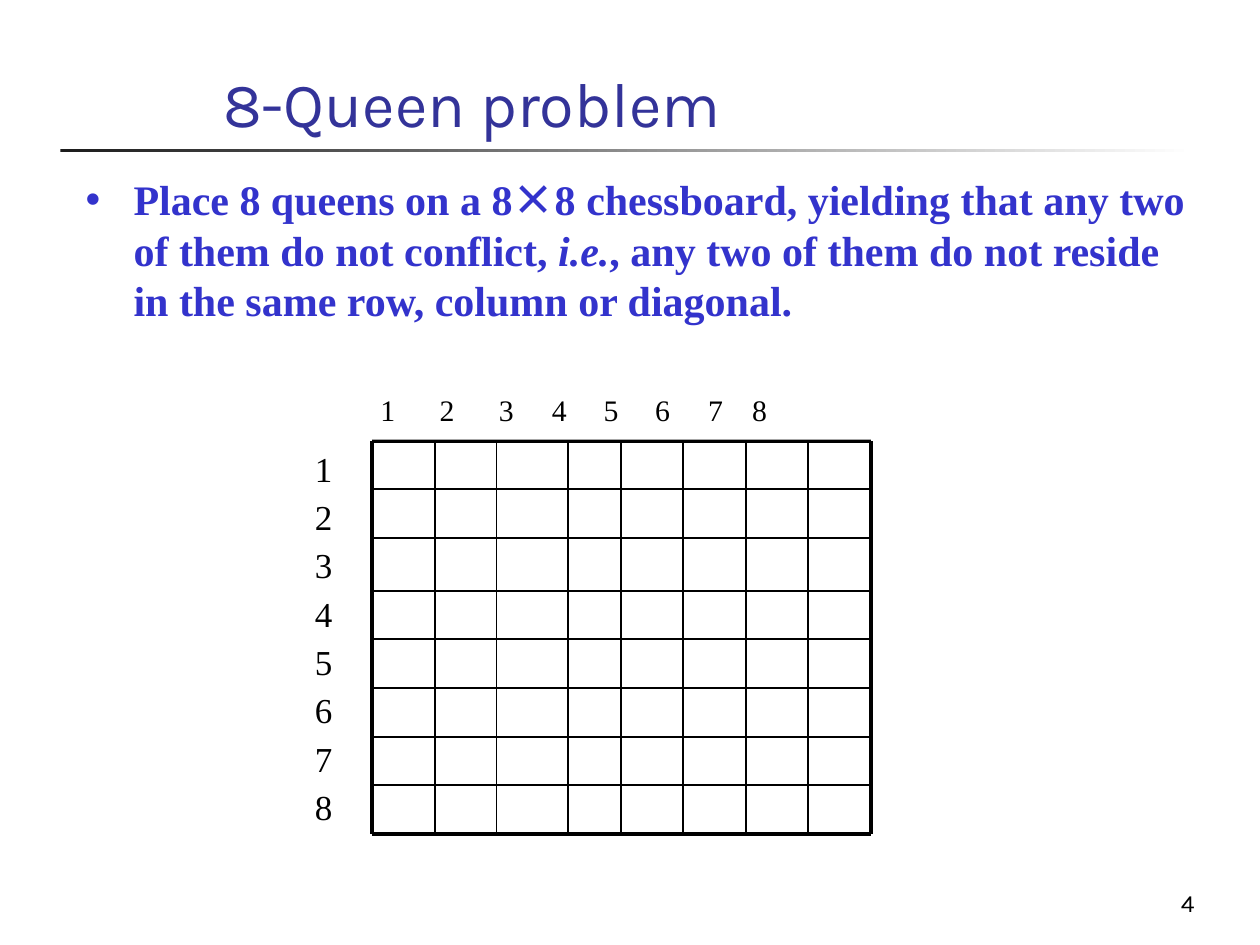
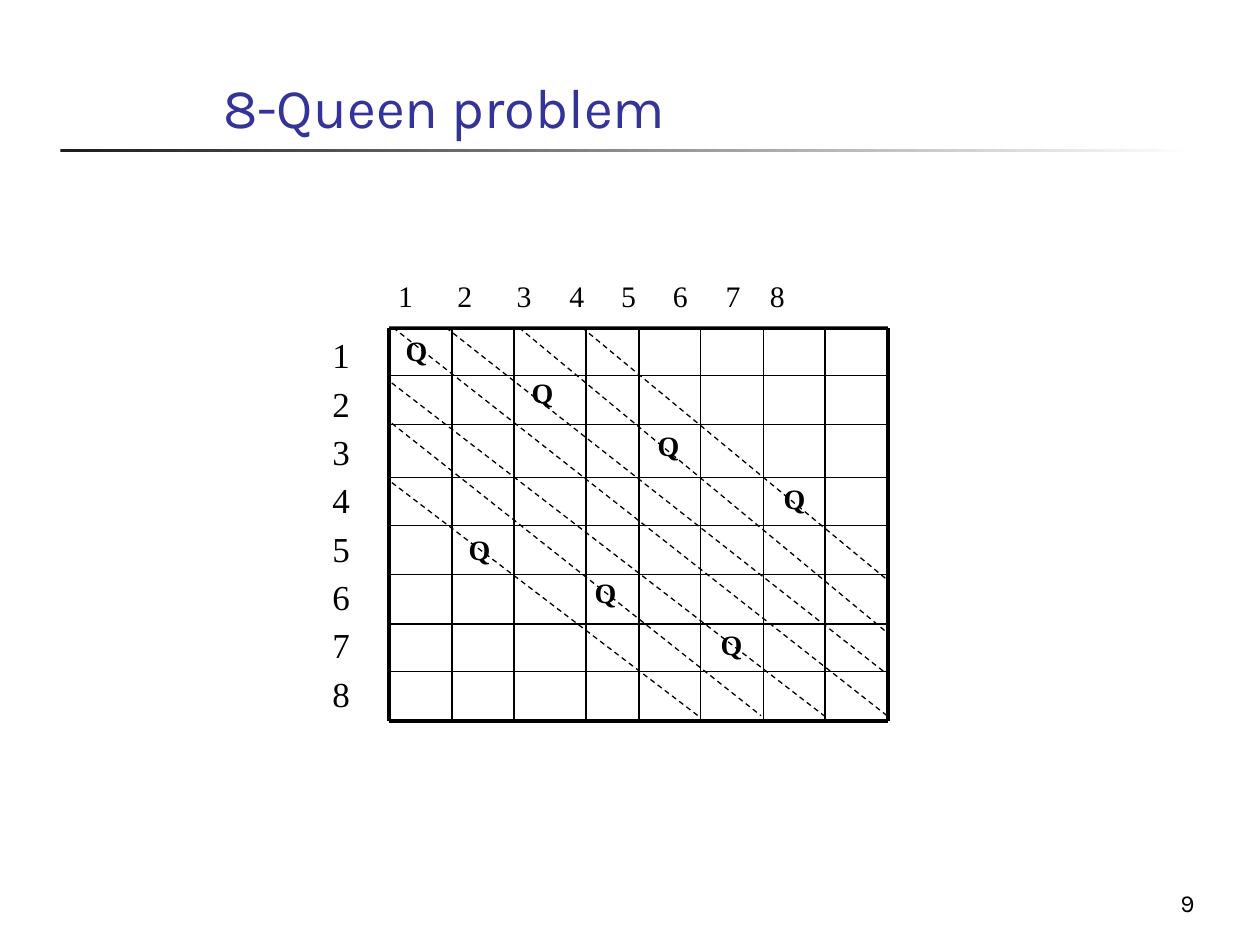
from dataclasses import dataclass

from lxml import etree
from pptx import Presentation
from pptx.dml.color import RGBColor
from pptx.enum.dml import MSO_LINE
from pptx.enum.shapes import MSO_CONNECTOR, MSO_SHAPE
from pptx.enum.text import MSO_ANCHOR, MSO_AUTO_SIZE, PP_ALIGN
from pptx.oxml.ns import qn
from pptx.util import Inches, Pt

STRAIGHT = MSO_CONNECTOR.STRAIGHT
RECTANGLE = MSO_SHAPE.RECTANGLE
DASH = MSO_LINE.DASH
TOP, BOTTOM = MSO_ANCHOR.TOP, MSO_ANCHOR.BOTTOM
LEFT, RIGHT = PP_ALIGN.LEFT, PP_ALIGN.RIGHT
NO_AUTOFIT = MSO_AUTO_SIZE.NONE


@dataclass(frozen=True)
class Theme:
    heading_font: str = "Karla"
    text_font: str = "Times New Roman"
    symbol_font: str = "Noto Sans CJK SC"
    title: RGBColor = RGBColor(0x33, 0x33, 0x99)
    body: RGBColor = RGBColor(0x33, 0x33, 0xCC)
    ink: RGBColor = RGBColor(0, 0, 0)
    paper: RGBColor = RGBColor(255, 255, 255)
    band: RGBColor = RGBColor(0x1C, 0x1C, 0x1C)
    body_size: int = 24
    row_size: int = 20
    column_size: int = 17
    queen_size: int = 16
    number_size: int = 14
    frame_line: float = 2.25
    cell_line: float = 1
    diagonal_line: float = 0.75


THEME = Theme()
TITLE_BOX = (1.67, 0.17, 7.86, 0.99)
BODY_BOX = (0.58, 1.33, 9, 5.37)
BAND_BOX = (0.48, 1.18, 9, 0.03)
NUMBER_BOX = (7.5, 6.83, 2.08, 0.5)

COLUMN_LINES = (0, 0.5, 0.99, 1.56, 1.98, 2.47, 2.97, 3.46, 3.96)
ROW_LINES = (0, 0.38, 0.77, 1.19, 1.57, 1.96, 2.35, 2.73, 3.12)
COLUMN_TABS = (0.47, 0.94, 1.36, 1.77, 2.18, 2.6, 2.95)
LABELS = "12345678"

QUEEN_STEP = 0.5
QUEENS = ((0, 0), (2, 0.33), (4, 0.75), (6, 1.17), (1, 1.58), (3, 1.92), (5, 2.33))
DIAGONALS = (
    (0.03, 0, 3.95, 3.08),
    (0.45, 0, 3.95, 2.75),
    (1.03, 0, 3.95, 2.42),
    (1.53, 0, 3.95, 2),
    (0.02, 1.23, 2.45, 3.08),
    (0.02, 0.76, 2.95, 3.08),
    (0.02, 0.44, 3.45, 3.08),
)


def inches(values):
    return [Inches(value) for value in values]


def place(shape, box):
    shape.left, shape.top, shape.width, shape.height = inches(box)


def set_font(font, name, size, color, bold=False):
    font.name, font.size, font.bold = name, Pt(size), bold
    font.color.rgb = color


def prepare_frame(shape, anchor):
    frame = shape.text_frame
    frame.word_wrap = True
    frame.auto_size = NO_AUTOFIT
    frame.vertical_anchor = anchor
    return frame


def add_rectangle(shapes, box):
    shape = shapes.add_shape(RECTANGLE, *inches(box))
    shape.shadow.inherit = False
    shape.line.fill.background()
    return shape


def add_line(shapes, start, end, width, dash=None):
    line = shapes.add_connector(STRAIGHT, *inches(start + end))
    line.line.color.rgb = THEME.ink
    line.line.width = Pt(width)
    if dash:
        line.line.dash_style = dash
    etree.SubElement(line._element.spPr, qn("a:effectLst"))


def add_text(slide, box, text, font, size, anchor, alignment, bold=False):
    frame = prepare_frame(slide.shapes.add_textbox(*inches(box)), anchor)
    paragraph = frame.paragraphs[0]
    paragraph.text = text
    paragraph.alignment = alignment
    set_font(paragraph.font, font, size, THEME.ink, bold)


def add_band(slide, box):
    band = add_rectangle(slide.shapes, box)
    band.fill.gradient()
    band.fill.gradient_angle = 0
    for stop, color in zip(band.fill.gradient_stops, (THEME.band, THEME.paper)):
        stop.color.rgb = color


def add_titled_slide(presentation, layout, number, title_size):
    slide = presentation.slides.add_slide(presentation.slide_layouts.get_by_name(layout))
    add_band(slide, BAND_BOX)
    title = slide.shapes.title
    place(title, TITLE_BOX)
    paragraph = prepare_frame(title, BOTTOM).paragraphs[0]
    paragraph.text = "8-Queen problem"
    paragraph.alignment = LEFT
    set_font(paragraph.font, THEME.heading_font, title_size, THEME.title)
    add_text(slide, NUMBER_BOX, number, THEME.heading_font, THEME.number_size, BOTTOM, RIGHT)
    return slide


def fill_statement(body, box):
    place(body, box)
    paragraph = prepare_frame(body, TOP).paragraphs[0]
    properties = paragraph._p.get_or_add_pPr()
    properties.set("marL", str(Inches(0.38)))
    properties.set("indent", str(Inches(-0.38)))
    etree.SubElement(properties, qn("a:buChar"), char="•")
    paragraph.space_before = Pt(0)
    set_font(paragraph.font, THEME.text_font, THEME.body_size, THEME.body, True)
    parts = (
        "Place 8 queens on a 8",
        "×",
        "8 chessboard, yielding that any two of them do not conflict, ",
        "i.e.",
        ", any two of them do not reside in the same row, column or diagonal.",
    )
    for text in parts:
        run = paragraph.add_run()
        run.text = text
        if text == "×":
            run.font.name = THEME.symbol_font
        elif text == "i.e.":
            run.font.italic = True


def add_label_box(shapes, box):
    shape = add_rectangle(shapes, box)
    shape.fill.solid()
    shape.fill.fore_color.rgb = THEME.paper
    return prepare_frame(shape, TOP)


def add_column_labels(shapes, box):
    frame = add_label_box(shapes, box)
    frame.margin_left = Inches(0.22)
    paragraph = frame.paragraphs[0]
    tab_list = etree.SubElement(paragraph._p.get_or_add_pPr(), qn("a:tabLst"))
    for position in COLUMN_TABS:
        etree.SubElement(tab_list, qn("a:tab"), pos=str(Inches(position)), algn="l")
    paragraph.text = "\t".join(LABELS)
    paragraph.alignment = LEFT
    paragraph.line_spacing = 0.9
    set_font(paragraph.font, THEME.text_font, THEME.column_size, THEME.ink)


def add_row_labels(shapes, box):
    frame = add_label_box(shapes, box)
    frame.text = "\n".join(LABELS)
    for index, paragraph in enumerate(frame.paragraphs):
        paragraph.alignment = LEFT
        paragraph.line_spacing = 1.15 if index else 1.0
        set_font(paragraph.font, THEME.text_font, THEME.row_size, THEME.ink)


def add_board(slide, left, top):
    shapes = slide.shapes.add_group_shape().shapes
    width, height = COLUMN_LINES[-1], ROW_LINES[-1]
    for offset in ROW_LINES:
        weight = THEME.frame_line if offset in (0, height) else THEME.cell_line
        add_line(shapes, (left, top + offset), (left + width, top + offset), weight)
    for offset in COLUMN_LINES:
        weight = THEME.frame_line if offset in (0, width) else THEME.cell_line
        add_line(shapes, (left + offset, top), (left + offset, top + height), weight)
    add_column_labels(shapes, (left - 0.15, top - 0.41, 4.27, 0.4))
    add_row_labels(shapes, (left - 0.55, top, 0.47, 3.35))


def add_queens(slide, left, top):
    for column, offset in QUEENS:
        box = (left + 0.03 + column * QUEEN_STEP, top + offset, 0.49, 0.39)
        add_text(slide, box, "Q", THEME.text_font, THEME.queen_size, TOP, LEFT, True)


def add_diagonals(slide, left, top):
    for x1, y1, x2, y2 in DIAGONALS:
        add_line(slide.shapes, (left + x1, top + y1), (left + x2, top + y2),
                 THEME.diagonal_line, DASH)


def build_statement_slide(presentation):
    slide = add_titled_slide(presentation, "Title and Content", "4", 36)
    fill_statement(slide.placeholders[1], BODY_BOX)
    add_board(slide, 2.95, 3.5)


def build_solution_slide(presentation):
    slide = add_titled_slide(presentation, "Title Only", "9", 32)
    board = (3.09, 2.6)
    add_board(slide, *board)
    add_queens(slide, *board)
    add_diagonals(slide, *board)


def main():
    presentation = Presentation()
    presentation.slide_width, presentation.slide_height = Inches(10), Inches(7.5)
    build_statement_slide(presentation)
    build_solution_slide(presentation)
    presentation.save("out.pptx")


if __name__ == "__main__":
    main()
